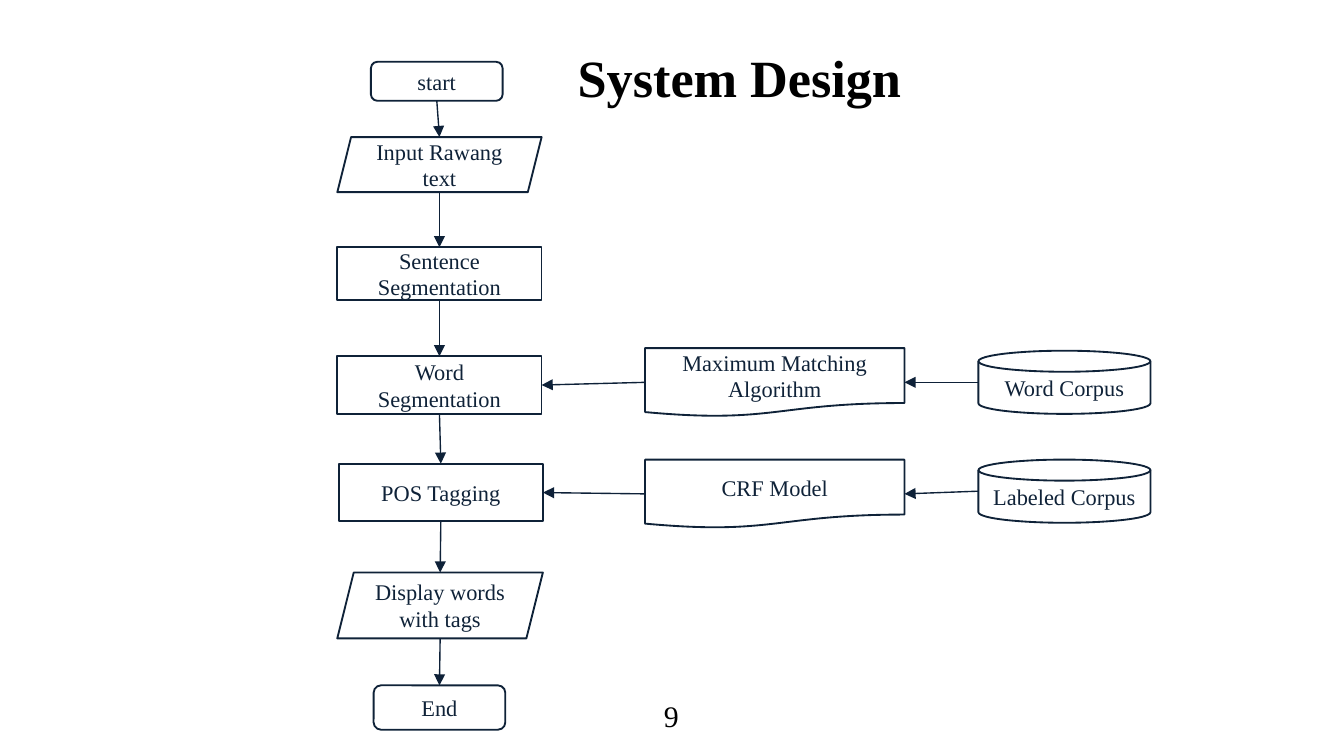
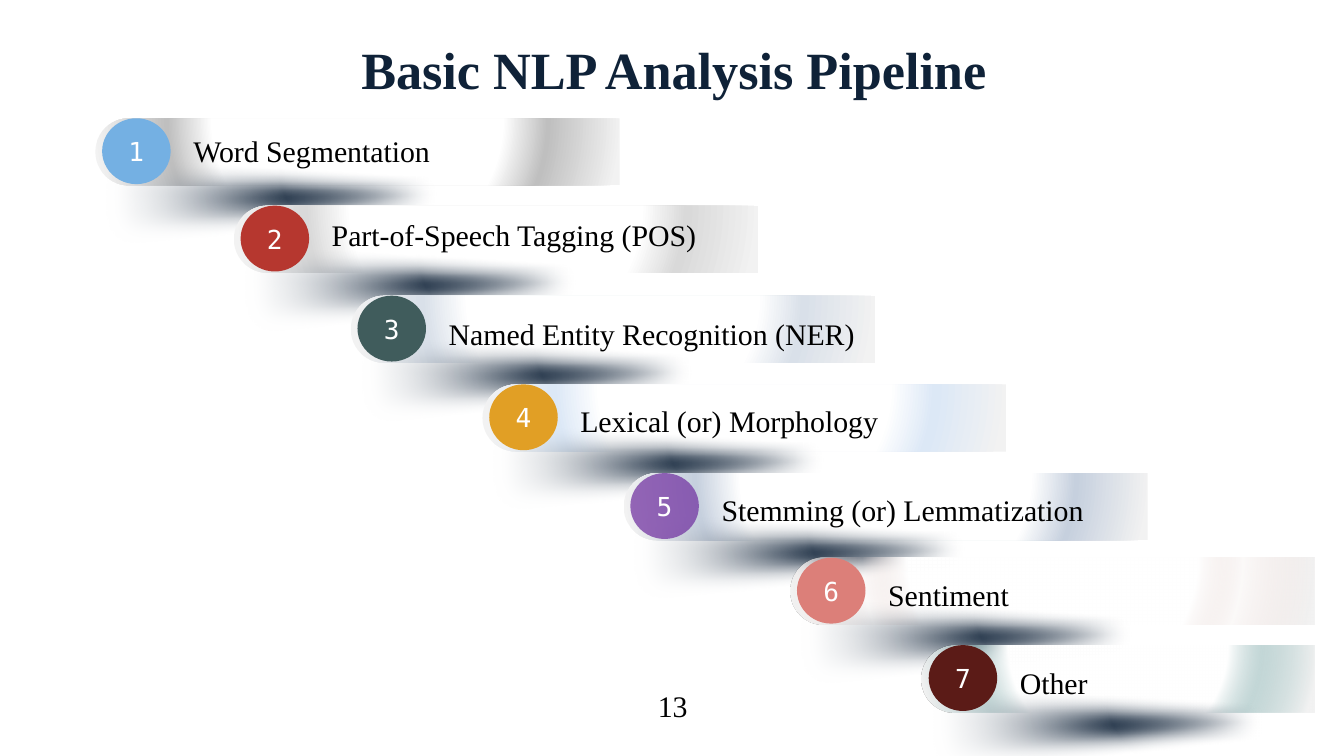
from itertools import pairwise

from lxml import etree
from pptx import Presentation
from pptx import util as u
from pptx.dml.color import RGBColor
from pptx.enum import shapes as kinds, text as txt
from pptx.oxml import ns

WIDTH = 10
HEIGHT = WIDTH * 9 / 16
NAVY, ARROW, WHITE, BLACK = "0F2238", "0E2138", "FFFFFF", "000000"
SERIF, MONO = "Times New Roman", "DejaVu Sans Mono"
SHAPE, ALIGN = kinds.MSO_SHAPE, txt.PP_ALIGN

# Flowchart: text, shape, (left, top, width, height)
MAIN_FLOW = [
    ("start", SHAPE.ROUNDED_RECTANGLE, (2.76, 0.46, 0.98, 0.29)),
    ("Input Rawang text", SHAPE.PARALLELOGRAM, (2.51, 1.02, 1.52, 0.41)),
    ("Sentence Segmentation", SHAPE.RECTANGLE, (2.51, 1.84, 1.52, 0.39)),
    ("Word Segmentation", SHAPE.RECTANGLE, (2.51, 2.65, 1.52, 0.43)),
    ("POS Tagging", SHAPE.RECTANGLE, (2.52, 3.45, 1.52, 0.43)),
    ("Display words with tags", SHAPE.PARALLELOGRAM, (2.51, 4.26, 1.53, 0.49)),
    ("End", SHAPE.ROUNDED_RECTANGLE, (2.78, 5.1, 0.98, 0.33)),
]
# Resources that feed a main step: step, (method, top), (corpus, top)
FEEDS = [
    ("Word Segmentation", ("Maximum Matching Algorithm", 2.59), ("Word Corpus", 2.61)),
    ("POS Tagging", ("CRF Model", 3.42), ("Labeled Corpus", 3.42)),
]
METHOD_LEFT, METHOD_SIZE = 4.8, (1.93, 0.51)
CORPUS_LEFT, CORPUS_SIZE = 7.28, (1.28, 0.47)

# Pipeline: label, (ball left, top), (ball colour, opacity),
# (bar sheen, opacity), label drop below the ball's top, label width
PIPELINE = [
    ("Word Segmentation", (0.76, 0.88), ("74B0E3", 100), ("BFBFBF", 100), 0.02, 5.05),
    ("Part-of-Speech Tagging (POS)", (1.79, 1.53), ("B6372F", 100), ("D9D9D9", 100), -0.01, 3.1),
    ("Named Entity Recognition (NER)", (2.66, 2.2), ("405C5C", 100), ("D9E0E9", 100), 0.06, 3.42),
    ("Lexical (or) Morphology", (3.64, 2.86), ("E19F25", 100), ("DCE8F6", 100), 0.05, 2.86),
    ("Stemming (or) Lemmatization", (4.69, 3.52), ("7030A0", 72), ("C6D0DE", 100), 0.05, 3.01),
    ("Sentiment", (5.93, 4.15), ("DC7F79", 100), ("E7D7D3", 14), 0.05, 3.01),
    ("Other", (6.91, 4.8), ("5B1B17", 100), ("A2C1C1", 64), 0.06, 3.01),
]
BALL = (0.51, 0.49)
BAR_LENGTH, BAR_HEIGHT, BAR_RIGHT_LIMIT = 3.9, 0.5, 9.78
SHADE_LENGTH, SHADE_HEIGHT, SHADE_TURN = 4.1, 0.72, 93.5


def rgb(colour):
    return RGBColor.from_string(colour)


def inches(*lengths):
    return [u.Inches(length) for length in lengths]


def sub(parent, tag, **attributes):
    return etree.SubElement(parent, ns.qn(tag), {k: str(v) for k, v in attributes.items()})


def set_alpha(colour_element, opacity):
    if opacity < 100:
        sub(colour_element, "a:alpha", val=opacity * 1000)


def write(shape, words, size=12, font=SERIF, colour=NAVY, bold=False, align=ALIGN.CENTER,
          anchor=txt.MSO_ANCHOR.MIDDLE, wrap=True, grow=False, inset=None,
          line_spacing=None, space_after=None):
    frame = shape.text_frame
    frame.word_wrap = wrap
    frame.vertical_anchor = anchor
    if grow:
        frame.auto_size = txt.MSO_AUTO_SIZE.SHAPE_TO_FIT_TEXT
    if inset is not None:
        frame.margin_left = frame.margin_right = u.Inches(inset)
        frame.margin_top = frame.margin_bottom = u.Inches(inset)
    paragraph = frame.paragraphs[0]
    paragraph.alignment = align
    if line_spacing:
        paragraph.line_spacing = line_spacing
    if space_after:
        paragraph.space_after = u.Pt(space_after)
    run = paragraph.add_run()
    run.text = words
    run.font.size, run.font.name, run.font.bold = u.Pt(size), font, bold
    run.font.color.rgb = rgb(colour)


def add_label(slide, box, words, **style):
    write(slide.shapes.add_textbox(*inches(*box)), words,
          **{"anchor": txt.MSO_ANCHOR.TOP, "colour": BLACK, **style})


def add_title(slide, box, words, **style):
    add_label(slide, box, words, size=28, bold=True, inset=0.1, **style)


def add_page_number(slide, box, number):
    add_label(slide, box, str(number), size=16, wrap=False, grow=True)


def add_filled(holder, kind, box, colour=WHITE, opacity=100, outline=None):
    shape = holder.add_shape(kind, *inches(*box))
    shape.shadow.inherit = False
    shape.fill.solid()
    shape.fill.fore_color.rgb = rgb(colour)
    set_alpha(shape.element.spPr.find(".//" + ns.qn("a:srgbClr")), opacity)
    if outline:
        shape.line.color.rgb = rgb(outline)
        shape.line.width = u.Pt(1)
    else:
        shape.line.fill.background()
    return shape


def add_glowing(holder, kind, centre, length, thickness, turn, stops):
    """Add a turned shape, lying along the page, with a radial gradient."""
    x, y = centre
    shape = add_filled(holder, kind, (x - thickness / 2, y - length / 2, thickness, length))
    shape.rotation = turn
    solid = shape.element.spPr.find(ns.qn("a:solidFill"))
    gradient = etree.Element(ns.qn("a:gradFill"), rotWithShape="1")
    stop_list = sub(gradient, "a:gsLst")
    for position, colour, opacity in stops:
        stop = sub(stop_list, "a:gs", pos=position * 1000)
        set_alpha(sub(stop, "a:srgbClr", val=colour), opacity)
    path = sub(gradient, "a:path", path="circle")
    sub(path, "a:fillToRect", l=50000, t=-80000, r=50000, b=180000)
    solid.getparent().replace(solid, gradient)
    return shape


def add_arrow(slide, start, end):
    arrow = slide.shapes.add_connector(kinds.MSO_CONNECTOR.STRAIGHT, *inches(*start, *end))
    arrow.line.color.rgb = rgb(ARROW)
    arrow.line.width = u.Pt(0.75)
    sub(arrow.element.spPr.find(ns.qn("a:ln")), "a:tailEnd", type="triangle")
    sub(arrow.element.spPr, "a:effectLst")


def edge(box, across, down):
    """Point at a share of the box's width and height."""
    left, top, width, height = box
    return left + across * width, top + down * height


def add_node(slide, words, kind, box):
    write(add_filled(slide.shapes, kind, box, outline=NAVY), words)


def build_system_design(slide):
    add_title(slide, (4.2, 0.24, 4.7, 0.69), "System Design", align=ALIGN.JUSTIFY)
    for node in MAIN_FLOW:
        add_node(slide, *node)
    for (_, _, upper), (_, _, lower) in pairwise(MAIN_FLOW):
        add_arrow(slide, edge(upper, 0.5, 1), edge(lower, 0.5, 0))

    step_boxes = {words: box for words, _, box in MAIN_FLOW}
    for step, (method, method_top), (corpus, corpus_top) in FEEDS:
        method_box = (METHOD_LEFT, method_top, *METHOD_SIZE)
        corpus_box = (CORPUS_LEFT, corpus_top, *CORPUS_SIZE)
        add_node(slide, method, SHAPE.FLOWCHART_DOCUMENT, method_box)
        add_node(slide, corpus, SHAPE.FLOWCHART_MAGNETIC_DISK, corpus_box)
        for source, target in pairwise((corpus_box, method_box, step_boxes[step])):
            add_arrow(slide, edge(source, 0, 0.5), edge(target, 1, 0.5))
    add_page_number(slide, (4.84, 5.14, 0.31, 0.37), 9)


def add_banner(slide, left, top, sheen):
    """Add the bar behind a step and the soft shade under it."""
    group = slide.shapes.add_group_shape().shapes
    bar_left = left - 0.05
    length = min(BAR_LENGTH, BAR_RIGHT_LIMIT - bar_left)
    bar = add_glowing(group, SHAPE.ROUND_2_SAME_RECTANGLE,
                      (bar_left + length / 2, top + BAR_HEIGHT / 2), length, BAR_HEIGHT, 270,
                      [(55, WHITE, 100), (72, *sheen), (100, "F2F2F2", 100)])
    bar.adjustments[0], bar.adjustments[1] = 0.5, 0
    shade = add_glowing(group, SHAPE.RIGHT_TRIANGLE, (left + 2.02, top + 0.76),
                        SHADE_LENGTH, SHADE_HEIGHT, SHADE_TURN,
                        [(34, NAVY, 100), (100, WHITE, 0)])
    effects = shade.element.spPr.find(ns.qn("a:effectLst"))
    sub(effects, "a:softEdge", rad=u.Inches(0.14))


def build_pipeline(slide):
    add_title(slide, (2.59, 0.18, 5.87, 0.58), "Basic NLP Analysis Pipeline",
              colour=NAVY, align=ALIGN.LEFT)
    for number, (words, (left, top), ball_fill, sheen, drop, width) in enumerate(PIPELINE, 1):
        add_banner(slide, left, top, sheen)
        ball = add_filled(slide.shapes, SHAPE.OVAL, (left, top, *BALL), *ball_fill)
        write(ball, str(number), size=14, font=MONO, colour=WHITE)
        add_label(slide, (left + 0.58, top + drop, width, 0.39), words, size=16,
                  align=ALIGN.LEFT, grow=True, line_spacing=1.15, space_after=8)
    add_page_number(slide, (4.79, 5.07, 0.43, 0.37), 13)


def main():
    deck = Presentation()
    deck.slide_width, deck.slide_height = inches(WIDTH, HEIGHT)
    for build in (build_system_design, build_pipeline):
        build(deck.slides.add_slide(deck.slide_layouts[6]))
    deck.save("out.pptx")


if __name__ == "__main__":
    main()
